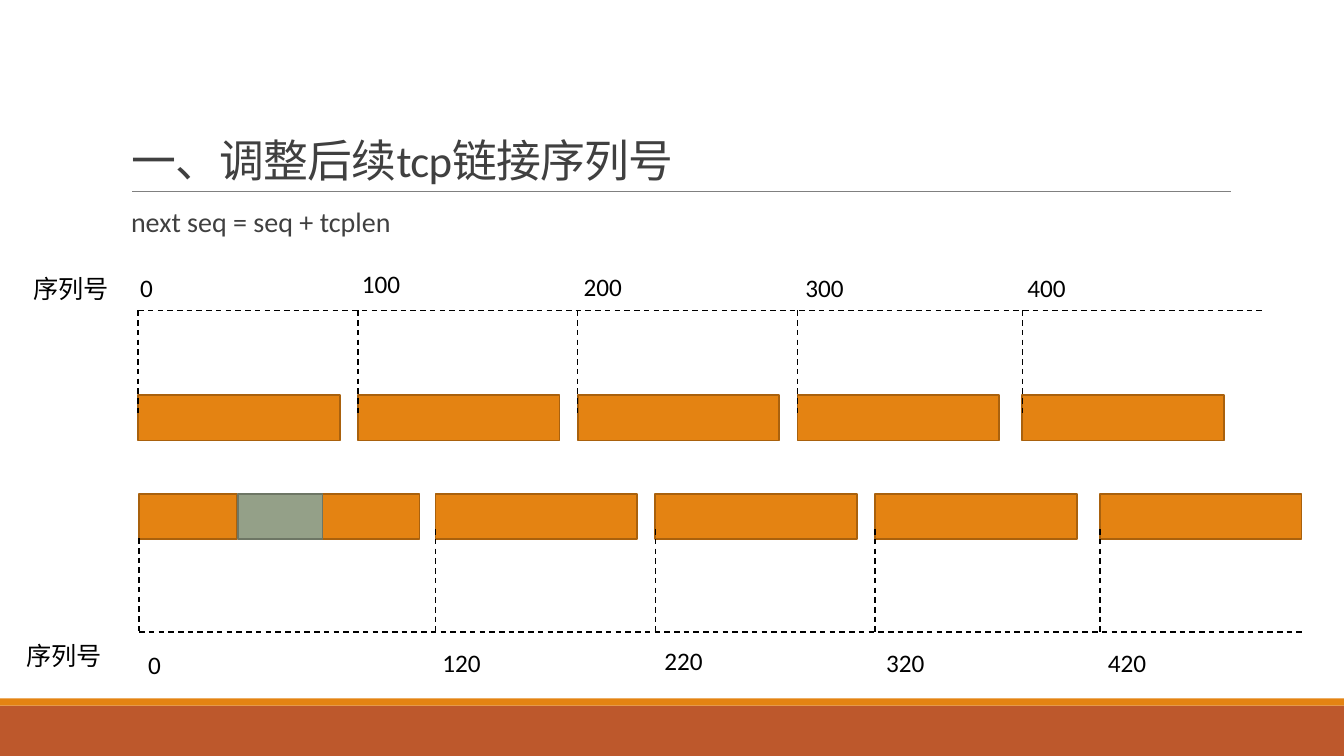
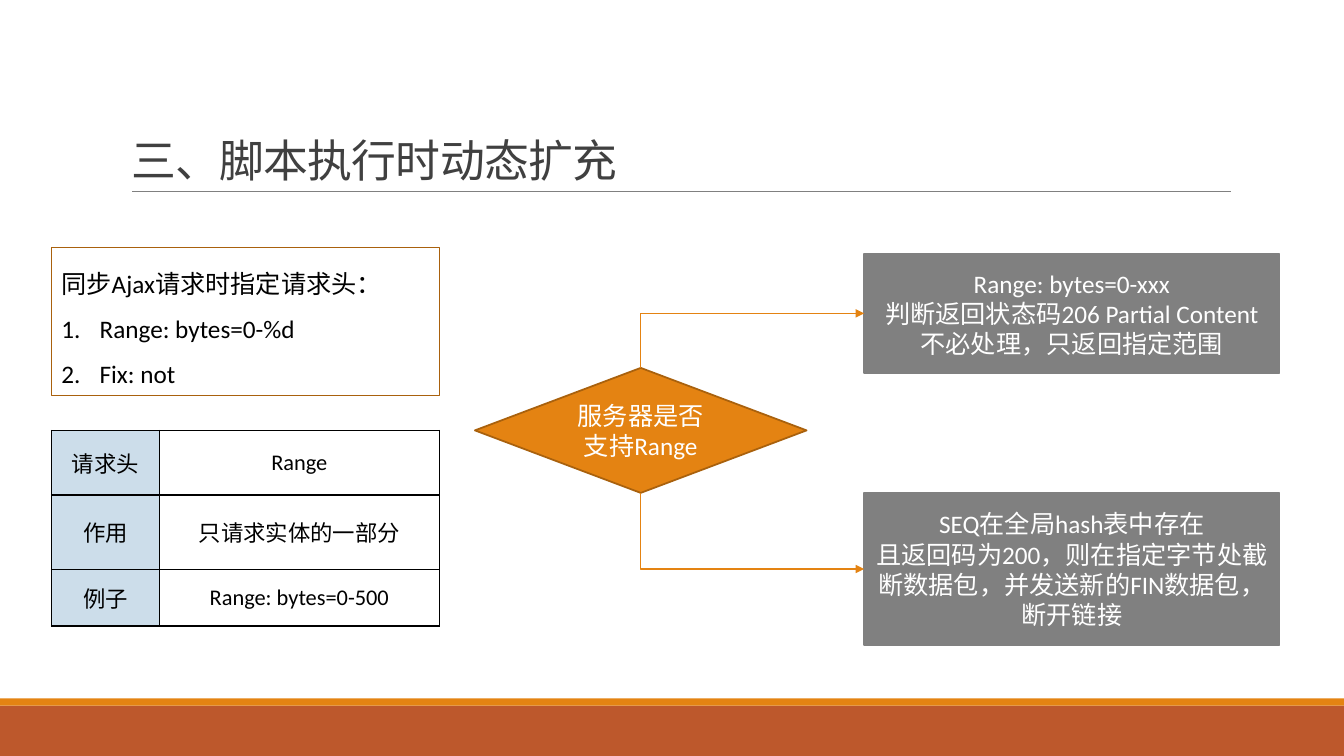
from pptx import Presentation, util as u
from pptx.dml.color import RGBColor
from pptx.enum import dml, shapes, text
from pptx.oxml.ns import qn
from lxml import etree

# Palette and shared formats
RUST = RGBColor(0xBD, 0x58, 0x2C)
ORANGE = RGBColor(0xE4, 0x83, 0x12)
BROWN = RGBColor(0xA9, 0x61, 0x0D)
SAGE = RGBColor(0x94, 0xA0, 0x88)
MOSS = RGBColor(0x6D, 0x76, 0x65)
GREY = RGBColor(0x80, 0x80, 0x80)
DARK = RGBColor(0x40, 0x40, 0x40)
ICE = RGBColor(0xCC, 0xDD, 0xEA)
BLACK = RGBColor(0, 0, 0)
WHITE = RGBColor(255, 255, 255)

FACE = "Calibri"
LEFT, MID = text.PP_ALIGN.LEFT, text.PP_ALIGN.CENTER
TOP, CTR, LOW = (text.MSO_ANCHOR.TOP, text.MSO_ANCHOR.MIDDLE,
                 text.MSO_ANCHOR.BOTTOM)
RECT = shapes.MSO_SHAPE.RECTANGLE
WIDE, HIGH = 13.33, 7.5

# Segment grid: offsets of the five packets from the first one
STEPS = [0, 2.18, 4.36, 6.54, 8.77]
EDGE, GROW = 1.37, 0.77
BAR_W, BAR_H = 2, 0.45
TAG_X, TAG_GAP = 1.29, 2.2


def grid(*vals):
    """Turn one-inch columns and rows into lengths."""
    return [u.Inches(v) for v in vals]


def put(obj, vals):
    for key, val in vals.items():
        setattr(obj, key, val)


def sub(node, tag, **vals):
    return etree.SubElement(node, qn(tag), vals)


def write(frame, lines, size=18, color=BLACK, align=LEFT, lead=1.0,
          anchor=TOP):
    put(frame, {"word_wrap": True, "vertical_anchor": anchor})
    frame.text = "\n".join(lines)
    for para in frame.paragraphs:
        put(para, {"alignment": align, "line_spacing": lead})
        for run in para.runs:
            put(run.font, {"name": FACE, "size": u.Pt(size)})
            run.font.color.rgb = color


def box(slide, spot, fill=None, edge=None, width=1.25, kind=RECT):
    shape = slide.shapes.add_shape(kind, *grid(*spot))
    shape.shadow.inherit = False
    if fill is None:
        shape.fill.background()
    else:
        shape.fill.solid()
        shape.fill.fore_color.rgb = fill
    if edge is None:
        shape.line.fill.background()
    else:
        shape.line.color.rgb = edge
        shape.line.width = u.Pt(width)
    return shape


def label(slide, spot, words, **style):
    frame = slide.shapes.add_textbox(*grid(*spot)).text_frame
    write(frame, [words], **style)
    return frame


def line(slide, ends, color=BLACK, width=1, dash=None,
         kind=shapes.MSO_CONNECTOR.STRAIGHT):
    link = slide.shapes.add_connector(kind, *grid(*ends))
    link.line.color.rgb = color
    put(link.line, {"width": u.Pt(width), "dash_style": dash})
    sub(link._element.spPr, "a:effectLst")
    return link


def dashed(slide, *ends):
    line(slide, ends, dash=dml.MSO_LINE.DASH)


def branch(slide, start, side, end):
    """Arrow that leaves vertically and turns once to the left side of end."""
    link = line(slide, (0, 0, 1, 1), ORANGE,
                kind=shapes.MSO_CONNECTOR.ELBOW)
    link.begin_connect(start, side)
    link.end_connect(end, 1)
    rise, run = link.height, link.width
    midx, midy = link.left + run // 2, link.top + rise // 2
    put(link, {"left": midx - rise // 2, "top": midy - run // 2,
               "width": rise, "height": run})
    up = side == 0
    prop = link._element.spPr
    form = prop.find(qn("a:xfrm"))
    form.set("rot", str((90 if up else 270) * 60000))
    form.set("flipH", "1")
    form.set("flipV", "1" if up else "0")
    prop.find(qn("a:prstGeom")).set("prst", "bentConnector2")
    sub(prop.find(qn("a:ln")), "a:tailEnd", type="triangle")


def table(slide, spot, cols, rows, data):
    grid_tab = slide.shapes.add_table(len(rows), len(cols),
                                      *grid(*spot)).table
    put(grid_tab, {"first_row": False, "horz_banding": False})
    for col, size in zip(grid_tab.columns, cols):
        col.width = u.Inches(size)
    for r, (size, words) in enumerate(zip(rows, data)):
        grid_tab.rows[r].height = u.Inches(size)
        for c, word in enumerate(words):
            cell = grid_tab.cell(r, c)
            write(cell.text_frame, [word], size=16, align=MID)
            cell.vertical_anchor = CTR
            prop = cell._tc.get_or_add_tcPr()
            for side in "LRTB":
                rule = sub(prop, f"a:ln{side}", w=str(u.Pt(1)))
                sub(sub(rule, "a:solidFill"), "a:srgbClr", val=str(BLACK))
            if c == 0:
                cell.fill.solid()
                cell.fill.fore_color.rgb = ICE
            else:
                cell.fill.background()


def frame_layout(deck, layout):
    """Put the footer bands and title rule on the layout, once."""
    slide = deck.slides[0]
    parts = [box(slide, (0, 7, WIDE, 0.5), RUST),
             box(slide, (0, 6.93, WIDE, 0.07), ORANGE),
             line(slide, (1.31, 1.9, 12.21, 1.9), GREY, 0.5)]
    for num, part in enumerate(parts, 101):
        node = part._element
        node.xpath(".//p:cNvPr")[0].set("id", str(num))
        layout.shapes._spTree.append(node)


def page(deck, layout, words):
    slide = deck.slides.add_slide(layout)
    title = slide.shapes.title
    put(title, dict(zip(("left", "top", "width", "height"),
                        grid(1.2, 0.31, 11, 1.59))))
    frame = title.text_frame
    write(frame, [words], size=32, color=DARK, lead=0.85, anchor=LOW)
    frame.auto_size = text.MSO_AUTO_SIZE.NONE
    frame.paragraphs[0].runs[0].font._element.set("spc", "-50")
    return slide


def scale(slide, marks, tops, name):
    """Sequence numbers over or under the packets, with the row's name."""
    for (x, mark), top in zip(marks, tops):
        label(slide, (x, top, 0.79, 0.4), mark)
    label(slide, (*name, 0.96, 0.4), "序列号").word_wrap = False


def packets(slide):
    note = label(slide, (1.3, 2.02, 4.96, 0.53), "next seq = seq + tcplen",
                 size=20, color=DARK, lead=0.9)
    note.margin_left = 0

    # Before: equal packets
    for step in STEPS:
        box(slide, (EDGE + step, 3.92, BAR_W, BAR_H), ORANGE, BROWN)
    for step in STEPS:
        dashed(slide, EDGE + step, 3.08, EDGE + step, 4.11)
    dashed(slide, EDGE, 3.08, 12.52, 3.08)
    scale(slide, [(TAG_X + i * TAG_GAP, str(i * 100)) for i in range(5)],
          [2.65, 2.61, 2.64, 2.65, 2.65], (0.23, 2.66))

    # After: the first packet grows and the rest move right
    first = EDGE + 0.01
    late = [EDGE + GROW + step for step in STEPS[1:]]
    for x, wide in [(first, 0.97), (3.19, 0.97)] + [(x, BAR_W) for x in late]:
        box(slide, (x, 4.9, wide, BAR_H), ORANGE, BROWN)
    box(slide, (2.36, 4.9, 0.84, BAR_H), SAGE, MOSS)
    dashed(slide, first, 5.34, first, 6.27)
    for x in late:
        dashed(slide, x, 5.25, x, 6.27)
    dashed(slide, first, 6.27, 12.91, 6.27)
    marks = [(TAG_X + 0.8 + i * TAG_GAP, str(20 + i * 100))
             for i in range(1, 5)]
    scale(slide, [(EDGE, "0")] + marks,
          [6.39, 6.37, 6.35, 6.37, 6.37], (0.16, 6.3))


def expand(slide):
    # Request headers
    table(slide, (0.51, 4.27, 3.85, 1.94), [1.07, 2.78], [0.64, 0.74, 0.56],
          [("请求头", "Range"), ("作用", "只请求实体的一部分"),
           ("例子", "Range: bytes=0-500")])
    steps = box(slide, (0.51, 2.46, 3.85, 1.46), None, BROWN, 0.75)
    write(steps.text_frame, ["同步Ajax请求时指定请求头：",
                             "Range: bytes=0-%d", "Fix: not"], lead=1.5)
    for para in steps.text_frame.paragraphs[1:]:
        prop = para._p.get_or_add_pPr()
        put_in = str(u.Inches(0.38))
        prop.set("marL", put_in)
        prop.set("indent", "-" + put_in)
        sub(prop, "a:buAutoNum", type="arabicPeriod")

    # Decision and its two outcomes
    test = box(slide, (4.71, 3.65, 3.29, 1.24), ORANGE, BROWN,
               kind=shapes.MSO_SHAPE.FLOWCHART_DECISION)
    yes = box(slide, (8.57, 2.52, 4.12, 1.18), GREY, GREY)
    no = box(slide, (8.57, 4.89, 4.12, 1.51), GREY, GREY)
    for shape, lines in (
            (test, ["服务器是否支持Range"]),
            (yes, ["Range: bytes=0-xxx", "判断返回状态码206 Partial Content",
                   "不必处理，只返回指定范围"]),
            (no, ["SEQ在全局hash表中存在",
                  "且返回码为200，则在指定字节处截断数据包，"
                  "并发送新的FIN数据包，断开链接"])):
        write(shape.text_frame, lines, color=WHITE, align=MID, anchor=CTR)
    branch(slide, test, 0, yes)
    branch(slide, test, 2, no)


def main():
    deck = Presentation()
    put(deck, dict(zip(("slide_width", "slide_height"), grid(WIDE, HIGH))))
    layout = deck.slide_layouts[5]
    packets(page(deck, layout, "一、调整后续tcp链接序列号"))
    expand(page(deck, layout, "三、脚本执行时动态扩充"))
    frame_layout(deck, layout)
    deck.save("out.pptx")


if __name__ == "__main__":
    main()
